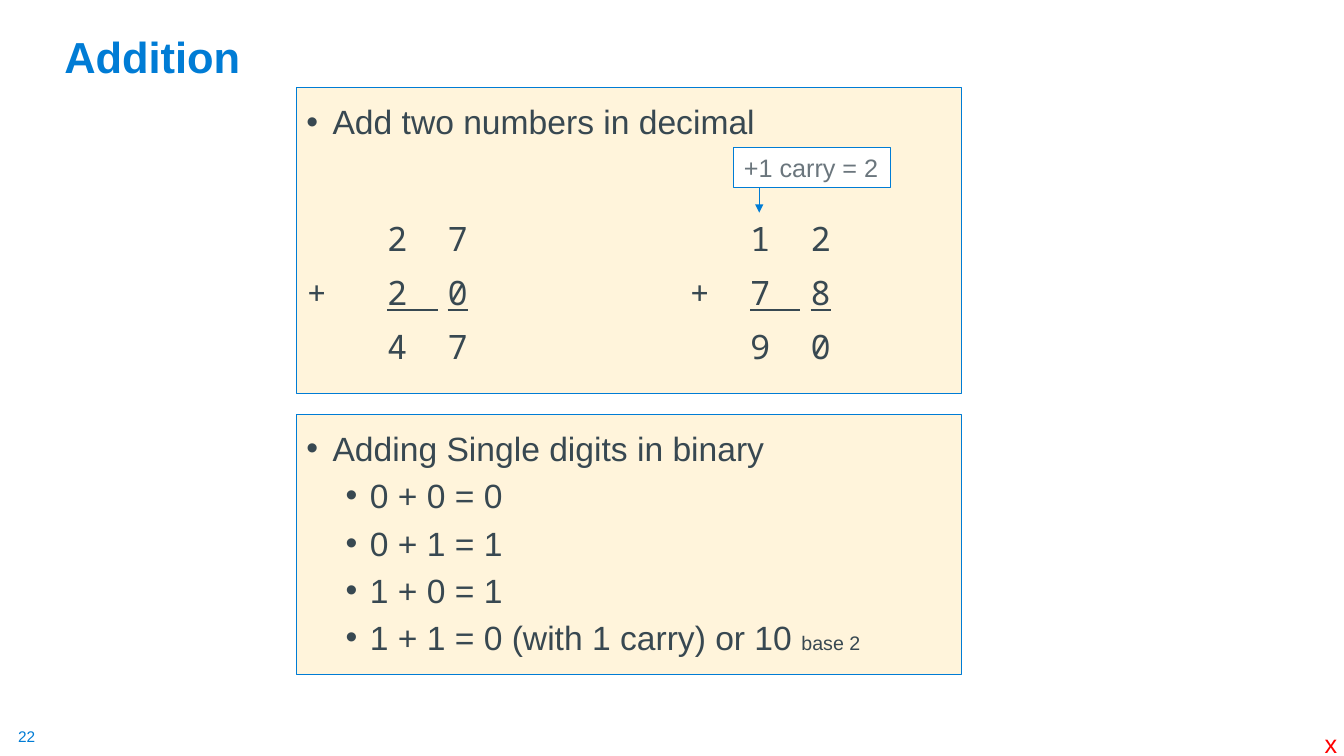
from dataclasses import dataclass
from typing import Any, NamedTuple

import lxml.etree
import pptx
import pptx.dml.color
import pptx.enum.shapes
import pptx.enum.text
import pptx.oxml.ns
import pptx.util

Inches, Pt = pptx.util.Inches, pptx.util.Pt
Anchor = pptx.enum.text.MSO_ANCHOR
WIDTH, HEIGHT = Inches(13.33), Inches(7.5)


@dataclass(frozen=True)
class Theme:
    accent: str = "007CD5"
    panel: str = "FFF4DB"
    paper: str = "FFFFFF"
    ink: str = "384851"
    muted: str = "6B767D"
    mark: str = "FF0000"
    sans: str = "Arial"
    mono: str = "Noto Sans Mono"
    title: float = 31
    body: float = 24
    small: float = 18
    base: float = 14
    number: float = 11


THEME = Theme()


class Area(NamedTuple):
    """Left, top, width and height in percent of the slide."""
    left: float
    top: float
    width: float
    height: float

    def emu(self) -> tuple[int, ...]:
        sides = (WIDTH, HEIGHT, WIDTH, HEIGHT)
        return tuple(round(side * share / 100) for side, share in zip(sides, self))


class Piece(NamedTuple):
    text: str
    format: dict[str, Any] = {}
    spread: float = 0


@dataclass(frozen=True)
class Line:
    pieces: tuple[Piece, ...]
    spacing: dict[str, Any]
    font: str = THEME.sans
    indent: tuple[float, float] = (0, 0)
    bullet: str = ""


@dataclass(frozen=True)
class Label:
    text: str
    area: Area
    color: str
    font: dict[str, Any]
    frame: dict[str, Any]


class Sum(NamedTuple):
    plus_left: float
    digits_left: float
    rows: tuple[str, str, str]


def apply(target: Any, values: dict[str, Any]) -> None:
    for name, value in values.items():
        setattr(target, name, value)


def rgb(color: str) -> pptx.dml.color.RGBColor:
    return pptx.dml.color.RGBColor.from_string(color)


def add_element(parent: Any, tag: str, **attributes: str) -> Any:
    return lxml.etree.SubElement(parent, pptx.oxml.ns.qn(tag), attributes)


def write_piece(paragraph: Any, piece: Piece, color: str, font: dict[str, Any]) -> None:
    run = paragraph.add_run()
    run.text = piece.text
    apply(run.font, font | piece.format)
    run.font.color.rgb = rgb(color)
    if piece.spread:
        run._r.get_or_add_rPr().set("spc", str(round(piece.spread * 100)))


def write_line(paragraph: Any, line: Line) -> None:
    properties = paragraph._p.get_or_add_pPr()
    margin, hanging = line.indent
    properties.set("marL", str(Inches(margin)))
    properties.set("indent", str(Inches(hanging)))
    if line.bullet:
        add_element(properties, "a:buFont", typeface=THEME.sans)
        add_element(properties, "a:buChar", char=line.bullet)
    apply(paragraph, {"alignment": pptx.enum.text.PP_ALIGN.LEFT} | line.spacing)
    for piece in line.pieces:
        write_piece(paragraph, piece, THEME.ink, {"name": line.font, "size": Pt(THEME.body)})


def write_lines(shape: Any, lines: list[Line], values: dict[str, Any]) -> None:
    frame = shape.text_frame
    apply(frame, {"word_wrap": True, "vertical_anchor": Anchor.TOP} | values)
    for index, line in enumerate(lines):
        write_line(frame.add_paragraph() if index else frame.paragraphs[0], line)


def write_label(shape: Any, label: Label) -> None:
    apply(shape.text_frame, label.frame)
    paragraph = shape.text_frame.paragraphs[0]
    paragraph.alignment = pptx.enum.text.PP_ALIGN.LEFT
    write_piece(paragraph, Piece(label.text), label.color, {"name": THEME.sans} | label.font)


def add_box(shapes: Any, area: Area, fill: str) -> Any:
    box = shapes.add_shape(pptx.enum.shapes.MSO_SHAPE.RECTANGLE, *area.emu())
    box.shadow.inherit = False
    box.fill.solid()
    box.fill.fore_color.rgb = rgb(fill)
    box.line.color.rgb = rgb(THEME.accent)
    box.line.width = Pt(0.75)
    return box


def add_arrow(shapes: Any, x: float, top: float, bottom: float) -> None:
    left, start, _, end = Area(x, top, 0, bottom).emu()
    arrow = shapes.add_connector(pptx.enum.shapes.MSO_CONNECTOR.STRAIGHT, left, start, left, end)
    arrow.line.color.rgb = rgb(THEME.accent)
    arrow.line.width = Pt(0.5)
    add_element(arrow.line._get_or_add_ln(), "a:tailEnd", type="triangle")
    add_element(arrow._element.spPr, "a:effectLst")


def heading(text: str) -> Line:
    return Line((Piece(text),), {"line_spacing": Pt(35)}, indent=(0.26, -0.26), bullet="•")


def rule(*pieces: Piece) -> Line:
    spacing = {"line_spacing": Pt(28.8), "space_before": Pt(5)}
    return Line(pieces, spacing, indent=(0.63, -0.24), bullet="•")


def sum_row(text: str, before: float = 0, underline: bool = False) -> Line:
    spacing = {"line_spacing": Pt(28.6), "space_before": Pt(before)}
    style = {"underline": underline}
    pieces = (Piece(text[:-1], style, 7.2), Piece(text[-1], style))
    return Line(pieces if len(text) > 1 else pieces[1:], spacing, font=THEME.mono)


def add_sum(shapes: Any, addition: Sum) -> None:
    top, pitch, width, height = 28.9, 7.15, 9, 19.6
    first, second, total = addition.rows
    digits = [sum_row(first), sum_row(second, 10, underline=True), sum_row(total, 10)]
    plus_area = Area(addition.plus_left, top + pitch, 3, pitch)
    digits_area = Area(addition.digits_left, top, width, height)
    for area, lines in ((plus_area, [sum_row("+")]), (digits_area, digits)):
        write_lines(shapes.add_textbox(*area.emu()), lines, NO_MARGINS)


# Content
BINARY = [
    heading("Adding Single digits in binary"),
    *(rule(Piece(text)) for text in ("0 + 0 = 0", "0 + 1 = 1", "1 + 0 = 1")),
    rule(Piece("1 + 1 = 0 (with 1 carry) or 10 "), Piece("base 2", {"size": Pt(THEME.base)})),
]
SUMS = [Sum(22.81, 28.81, ("2 7", "2 0", "4 7")), Sum(51.31, 55.81, ("1 2", "7 8", "9 0"))]
NO_WRAP = {"word_wrap": False, "auto_size": pptx.enum.text.MSO_AUTO_SIZE.SHAPE_TO_FIT_TEXT}
NO_MARGINS = dict.fromkeys(("margin_left", "margin_top", "margin_right", "margin_bottom"), 0)
LABELS = [
    Label("Addition", Area(4.05, 1.1, 86.27, 10.4), THEME.accent,
          {"size": Pt(THEME.title), "bold": True},
          {"word_wrap": True, "vertical_anchor": Anchor.BOTTOM}),
    Label("22", Area(1.35, 96.13, 1.43, 2.53), THEME.accent,
          {"size": Pt(THEME.number)}, NO_WRAP | NO_MARGINS),
    Label("x", Area(97.82, 95.73, 2.48, 5.33), THEME.mark, {"size": Pt(THEME.small)}, NO_WRAP),
]
CARRY = Label("+1 carry = 2", Area(54.61, 19.47, 11.63, 5.33), THEME.muted,
              {"size": Pt(THEME.small)}, NO_WRAP | {"vertical_anchor": Anchor.TOP})


def main() -> None:
    deck = pptx.Presentation()
    apply(deck, {"slide_width": WIDTH, "slide_height": HEIGHT})
    shapes = deck.slides.add_slide(deck.slide_layouts[6]).shapes
    # Panels
    decimal = [heading("Add two numbers in decimal")]
    for top, height, lines in ((11.6, 40.4, decimal), (54.8, 34.4, BINARY)):
        write_lines(add_box(shapes, Area(22.06, top, 49.51, height), THEME.panel), lines, {})
    # Decimal sums and carry callout
    for addition in SUMS:
        add_sum(shapes, addition)
    callout = shapes.add_group_shape().shapes
    write_label(add_box(callout, CARRY.area, THEME.paper), CARRY)
    add_arrow(callout, 56.49, 24.93, 28.13)
    # Title, page number and corner mark
    for label in LABELS:
        write_label(shapes.add_textbox(*label.area.emu()), label)
    deck.save("out.pptx")


if __name__ == "__main__":
    main()
